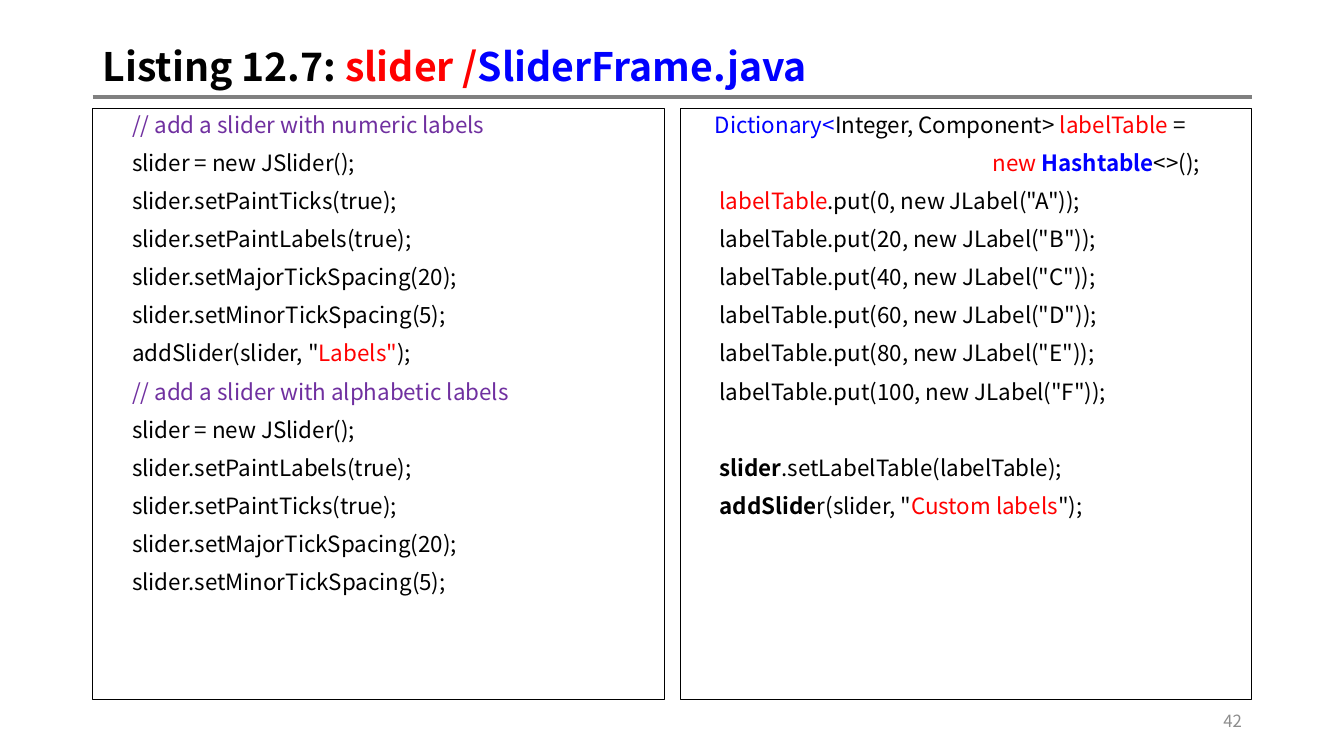
from lxml.etree import SubElement
from pptx import Presentation
from pptx.dml.color import RGBColor
from pptx.enum.shapes import MSO_CONNECTOR, MSO_SHAPE
from pptx.enum.text import MSO_ANCHOR, MSO_AUTO_SIZE, PP_ALIGN
from pptx.oxml.ns import qn
from pptx.util import Pt

BLACK = RGBColor(0x00, 0x00, 0x00)
RED = RGBColor(0xFF, 0x00, 0x00)
BLUE = RGBColor(0x00, 0x00, 0xFF)
PURPLE = RGBColor(0x70, 0x30, 0xA0)
GREY = RGBColor(0x80, 0x80, 0x80)
PALE = RGBColor(0x8C, 0x8C, 0x8C)

FONT = "Noto Sans CJK KR"
LEFT, WIDTH = 66.24, 828
BOX_W, BOX_H, BOX_TOP = 408.24, 421.92, 77.76
INDENT, GAP, PITCH = 21, 10, 17.2


class Deck:
    def __init__(self):
        self.prs = Presentation()
        self.prs.slide_width, self.prs.slide_height = Pt(960), Pt(540)
        self.slide = self.prs.slides.add_slide(self.prs.slide_layouts[5])
        self.shapes = self.slide.shapes

    def place(self, shape, x, y, w, h):
        shape.left, shape.top, shape.width, shape.height = map(Pt, (x, y, w, h))

    def fill(self, par, parts, size, bold=False):
        """Fill a paragraph from plain text or from (text, colour, bold) parts."""
        if isinstance(parts, str):
            parts = [(parts,)]
        for text, *style in parts:
            run = par.add_run()
            run.text = text
            font = run.font
            font.name, font.size = FONT, Pt(size)
            font.color.rgb = style[0] if style else BLACK
            font.bold = style[1] if len(style) > 1 else bold

    def title(self, parts):
        shape = self.shapes.title
        self.place(shape, LEFT, 28.8, WIDTH, 40.32)
        frame = shape.text_frame
        frame.auto_size = MSO_AUTO_SIZE.NONE
        frame.vertical_anchor = MSO_ANCHOR.MIDDLE
        par = frame.paragraphs[0]
        par.alignment, par.line_spacing = PP_ALIGN.LEFT, 0.9
        self.fill(par, parts, 28, True)

    def rule(self, y):
        line = self.shapes.add_connector(
            MSO_CONNECTOR.STRAIGHT, Pt(LEFT), Pt(y), Pt(LEFT + WIDTH), Pt(y))
        line.line.color.rgb, line.line.width = GREY, Pt(3)
        SubElement(line._element.spPr, qn("a:effectLst"))

    def code(self, x, lines):
        """Draw a framed listing; each line is (parts, indent, space before)."""
        box = self.shapes.add_shape(
            MSO_SHAPE.RECTANGLE, Pt(x), Pt(BOX_TOP), Pt(BOX_W), Pt(BOX_H))
        box.shadow.inherit = False
        box.fill.background()
        box.line.color.rgb, box.line.width = BLACK, Pt(0.75)
        frame = box.text_frame
        frame.word_wrap, frame.vertical_anchor = True, MSO_ANCHOR.TOP
        for i, (parts, indent, gap) in enumerate(lines):
            par = frame.add_paragraph() if i else frame.paragraphs[0]
            par.alignment, par.line_spacing = PP_ALIGN.LEFT, Pt(PITCH)
            par.space_before = Pt(gap if i else 0)
            par._p.get_or_add_pPr().set("marL", str(Pt(indent)))
            self.fill(par, parts, 16)

    def number(self, text):
        box = self.shapes.add_textbox(Pt(678.24), Pt(500.4), Pt(216), Pt(28.8))
        frame = box.text_frame
        frame.word_wrap, frame.vertical_anchor = True, MSO_ANCHOR.MIDDLE
        par = frame.paragraphs[0]
        par.alignment = PP_ALIGN.RIGHT
        self.fill(par, [(text, PALE)], 12)


def line(parts, indent=INDENT, gap=GAP):
    return parts, indent, gap


NEW = "slider = new JSlider();"
TICKS = "slider.setPaintTicks(true);"
LABELS = "slider.setPaintLabels(true);"
STEPS = ["slider.setMajorTickSpacing(20);", "slider.setMinorTickSpacing(5);"]

NUMERIC = [
    [("// add a slider with numeric labels", PURPLE)],
    NEW, TICKS, LABELS, *STEPS,
    [('addSlider(slider, "',), ('Labels"', RED), (");",)],
    [("// add a slider with alphabetic labels", PURPLE)],
    NEW, LABELS, TICKS, *STEPS,
]
PUTS = [f'labelTable.put({20 * i}, new JLabel("{c}"));'
        for i, c in enumerate("BCDEF", 1)]
CUSTOM = [
    line([("Dictionary<", BLUE), ("Integer, Component> ",),
          ("labelTable ", RED), ("=",)], 17.5),
    line([("new ", RED), ("Hashtable", BLUE, True), ("<>();",)], 216),
    line([("labelTable", RED), ('.put(0, new JLabel("A"));',)]),
    *map(line, PUTS),
    line([("slider", BLACK, True), (".setLabelTable(labelTable);",)],
         gap=2 * GAP + PITCH),
    line([("addSlide", BLACK, True), ('r(slider, "',),
          ("Custom labels", RED), ('");',)]),
]


def main():
    deck = Deck()
    deck.title([("Listing 12.7: ",), ("slider /", RED), ("SliderFrame.java", BLUE)])
    deck.rule(69.5)
    deck.code(LEFT, map(line, NUMERIC))
    deck.code(LEFT + WIDTH - BOX_W, CUSTOM)
    deck.number("42")
    deck.prs.save("out.pptx")


if __name__ == "__main__":
    main()
